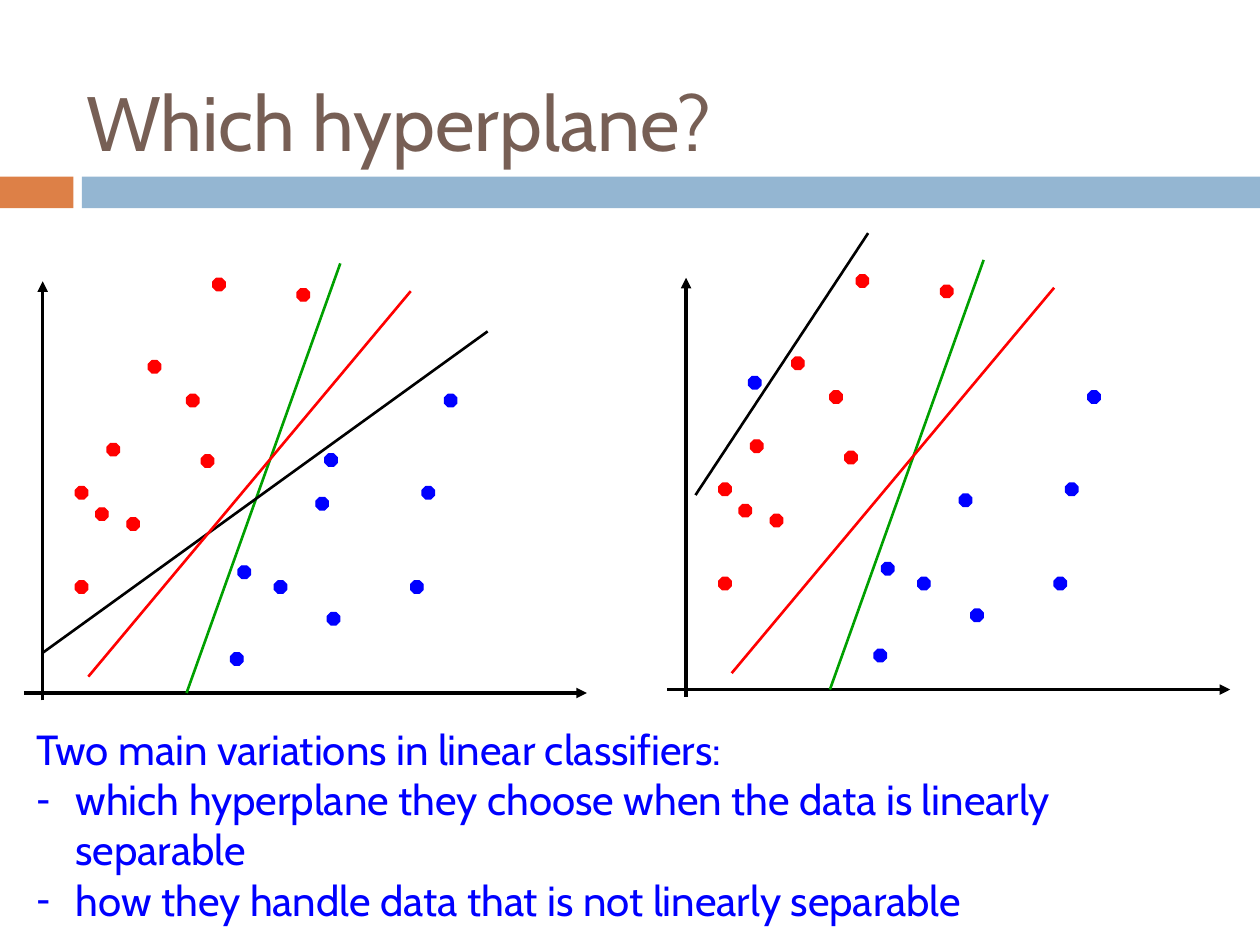
from lxml.etree import SubElement
from pptx import Presentation
from pptx.dml.color import RGBColor
from pptx.enum.shapes import MSO_CONNECTOR, MSO_SHAPE
from pptx.enum.text import MSO_ANCHOR, MSO_AUTO_SIZE, PP_ALIGN
from pptx.oxml.ns import qn
from pptx.util import Cm, Pt

BROWN = RGBColor(0x77, 0x5F, 0x55)
ORANGE = RGBColor(0xDD, 0x80, 0x47)
PALE_BLUE = RGBColor(0x94, 0xB6, 0xD2)
RED = RGBColor(0xFF, 0x00, 0x00)
BLUE = RGBColor(0x00, 0x00, 0xFF)
GREEN = RGBColor(0x00, 0xA0, 0x00)
BLACK = RGBColor(0x00, 0x00, 0x00)

FONT = "Cabin"
DOT_SIZE = 0.25
INDENT = Cm(0.79)

RED_DOTS = [(3.28, 2.64), (1.68, 3.63), (2.08, 5.13), (1.04, 6.4), (2.51, 1.96),
            (1.04, 4.5), (1.45, 4.93), (3.58, 3.86), (3.81, 0.3), (5.51, 0.51)]
BLUE_DOTS = [(5.05, 6.4), (7.8, 6.4), (4.17, 7.85), (5.89, 4.72),
             (4.32, 6.1), (6.12, 7.04), (8.03, 4.5), (8.48, 2.64)]
AXES = [((0.38, 8.81), (0.38, 0.36)), ((0, 8.66), (11.35, 8.66))]
GREEN_LINE = ((3.28, 8.66), (6.38, 0))
RED_LINE = ((1.3, 8.33), (7.8, 0.56))

PLOTS = [
    {"box": (0.48, 5.31), "extra_dot": (6.07, 3.84),
     "black_line": ((0.38, 7.85), (9.35, 1.37))},
    {"box": (13.45, 5.24), "extra_dot": (1.64, 2.35),
     "black_line": ((0.57, 4.74), (4.05, -0.54))},
]

VARIATIONS = [
    ("Two main variations in linear classifiers:", None),
    ("which hyperplane they choose when the data is linearly separable", "-"),
    ("how they handle data that is not linearly separable", "-"),
]


def set_values(target, values):
    """Set each named attribute of the target."""
    for name, value in values.items():
        setattr(target, name, value)


def place(shape, box):
    """Move and size a shape to a box in centimetres."""
    set_values(shape, dict(zip(("left", "top", "width", "height"), map(Cm, box))))


def add_filled_shape(page, kind, box, color):
    """Add a flat preset shape in one colour and return it."""
    shape = page.shapes.add_shape(kind, *map(Cm, box))
    shape.shadow.inherit = False
    shape.fill.solid()
    shape.fill.fore_color.rgb = color
    shape.line.fill.background()
    return shape


def add_line(page, origin, ends, color, width, arrow=False):
    """Add a straight line between two points measured from the origin."""
    points = [Cm(start + offset) for end in ends for start, offset in zip(origin, end)]
    line = page.shapes.add_connector(MSO_CONNECTOR.STRAIGHT, *points)
    line.line.color.rgb = color
    line.line.width = Pt(width)
    properties = line._element.spPr
    if arrow:
        SubElement(properties.find(qn("a:ln")), qn("a:tailEnd"), type="triangle")
    SubElement(properties, qn("a:effectLst"))


def add_dot(page, origin, position, color):
    """Add one data point measured from the origin."""
    corner = [start + offset for start, offset in zip(origin, position)]
    dot = add_filled_shape(page, MSO_SHAPE.OCTAGON, (*corner, DOT_SIZE, DOT_SIZE), color)
    dot.line.color.rgb = color
    dot.line.width = Pt(0.75)


def add_plot(page, box, extra_dot, black_line):
    """Draw axes, data points and candidate hyperplanes in a box."""
    for ends in AXES:
        add_line(page, box, ends, BLACK, 2, arrow=True)
    for dots, color in ((RED_DOTS, RED), (BLUE_DOTS + [extra_dot], BLUE)):
        for position in dots:
            add_dot(page, box, position, color)
    for ends, color in ((GREEN_LINE, GREEN), (black_line, BLACK), (RED_LINE, RED)):
        add_line(page, box, ends, color, 1.5)


def add_header(page, box):
    """Place the title above its two-colour band."""
    left, top, width, height = box
    band_top = top + 3.56
    add_filled_shape(page, MSO_SHAPE.RECTANGLE, (left, band_top, 1.48, 0.64), ORANGE)
    add_filled_shape(page, MSO_SHAPE.RECTANGLE,
                     (left + 1.65, band_top, width - 1.65, 0.64), PALE_BLUE)
    title = page.shapes.title
    place(title, (left + 1.48, top + 1.06, 22.42, height - 1.46))
    frame = title.text_frame
    set_values(frame, {"text": "Which hyperplane?", "word_wrap": True,
                       "auto_size": MSO_AUTO_SIZE.NONE,
                       "vertical_anchor": MSO_ANCHOR.MIDDLE})
    para = frame.paragraphs[0]
    para.alignment = PP_ALIGN.LEFT
    set_values(para.font, {"name": FONT, "size": Pt(44)})
    para.font.color.rgb = BROWN


def add_variations(page, box):
    """Fill the body placeholder with the lead line and its dashed list."""
    body = page.placeholders[1]
    place(body, box)
    frame = body.text_frame
    set_values(frame, {"word_wrap": True, "auto_size": MSO_AUTO_SIZE.NONE,
                       "vertical_anchor": MSO_ANCHOR.TOP})
    for index, (text, bullet) in enumerate(VARIATIONS):
        para = frame.add_paragraph() if index else frame.paragraphs[0]
        para.text = text
        properties = para._p.get_or_add_pPr()
        margin = INDENT if bullet else 0
        properties.set("marL", str(margin))
        properties.set("indent", str(-margin))
        if bullet:
            SubElement(properties, qn("a:buFontTx"))
            SubElement(properties, qn("a:buChar"), char=bullet)
        else:
            SubElement(properties, qn("a:buNone"))
        set_values(para, {"space_before": Pt(0), "alignment": PP_ALIGN.LEFT})
        set_values(para.font, {"name": FONT, "size": Pt(24)})
        para.font.color.rgb = BLUE


def main():
    """Build and save the slide."""
    deck = Presentation()
    set_values(deck, {"slide_width": Cm(25.4), "slide_height": Cm(19.05)})
    page = deck.slides.add_slide(deck.slide_layouts[1])
    add_header(page, (0, 0, 25.4, 4.2))
    for plot in PLOTS:
        add_plot(page, **plot)
    add_variations(page, (0.48, 14.45, 23.19, 4.37))
    deck.save("out.pptx")


if __name__ == "__main__":
    main()
